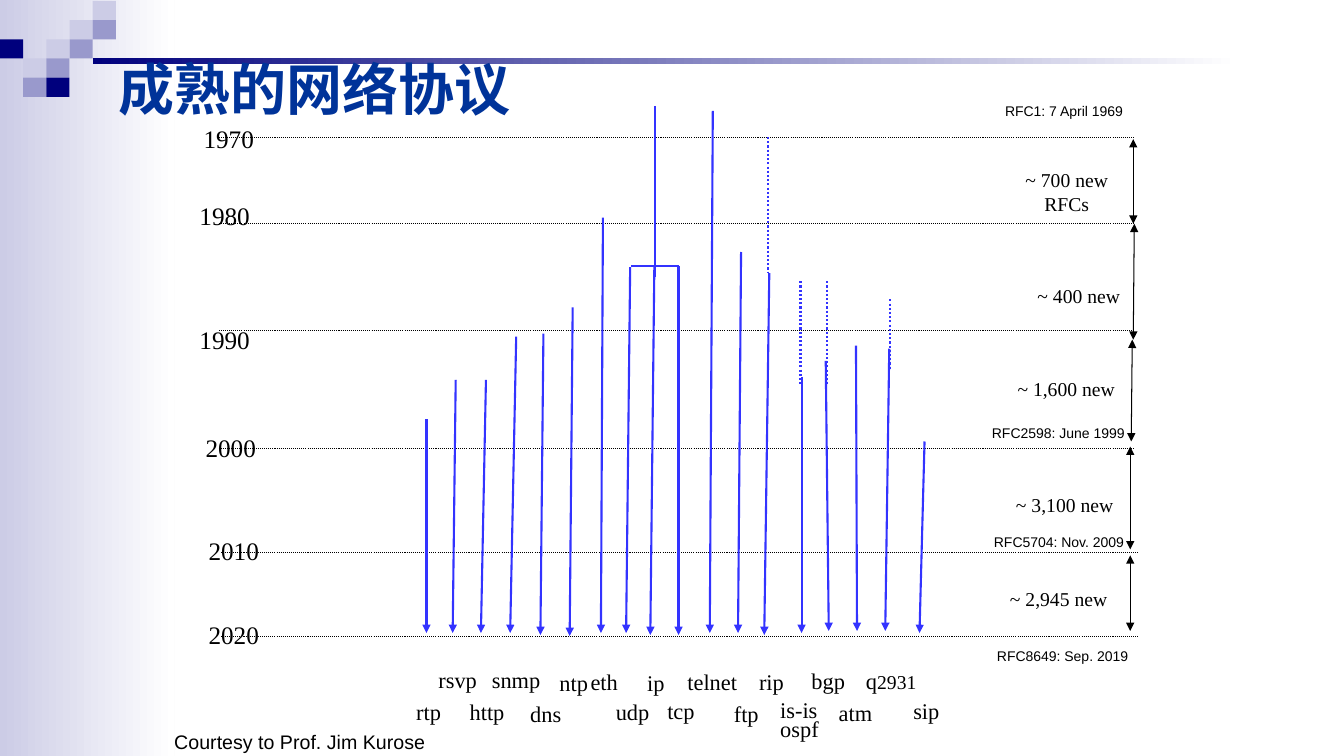
from lxml import etree
from pptx import Presentation
from pptx import util as u
from pptx.dml.color import RGBColor
from pptx.enum import dml, shapes, text
from pptx.oxml.ns import qn

SIZE = (13.33, 7.5)
NAVY, LILAC, PALE, WHITE = "00007D", "9999CC", "CCCCE6", "FFFFFF"
BLACK, BLUE, TITLE_BLUE = "000000", "3333FF", "003399"
SERIF, SANS, CJK = "Times New Roman", "Arial", "Noto Sans CJK SC"

# Corner mosaic: (column, row, colour)
MOSAIC = [
    (4, 0, PALE),
    (3, 1, PALE), (4, 1, LILAC),
    (0, 2, NAVY), (2, 2, PALE), (3, 2, LILAC),
    (1, 3, PALE), (2, 3, LILAC),
    (1, 4, LILAC), (2, 4, NAVY),
]
TILE_W, TILE_H = 0.23, 0.19

TITLE = "成熟的网络协议"
CREDIT = "Courtesy to Prof. Jim Kurose"

# (year, rule left, rule right, rule y, label left, label top)
DECADES = [
    ("1970", 2.17, 11.25, 1.36, 1.92, 1.17),
    ("1980", 2.17, 11.25, 2.22, 1.88, 1.94),
    ("1990", 2.17, 11.25, 3.28, 1.88, 3.17),
    ("2000", 2.17, 11.25, 4.45, 1.94, 4.24),
    ("2010", 2.19, 11.28, 5.48, 1.97, 5.26),
    ("2020", 2.19, 11.28, 6.31, 1.97, 6.09),
]

# (name, label left, label top, label width, arrow start, arrow end)
PROTOCOLS = [
    ("rtp", 4.03, 6.88, 0.45, (4.23, 4.16), (4.23, 6.28)),
    ("rsvp", 4.25, 6.56, 0.59, (4.52, 3.77), (4.49, 6.28)),
    ("http", 4.56, 6.88, 0.55, (4.82, 3.77), (4.77, 6.28)),
    ("snmp", 4.78, 6.56, 0.68, (5.12, 3.34), (5.06, 6.28)),
    ("dns", 5.16, 6.9, 0.51, (5.39, 3.31), (5.36, 6.3)),
    ("ntp", 5.45, 6.59, 0.49, (5.68, 3.05), (5.65, 6.31)),
    ("eth", 5.76, 6.58, 0.47, (5.98, 2.16), (5.96, 6.28)),
    ("udp", 6.01, 6.88, 0.53, (6.25, 2.65), (6.21, 6.28)),
    ("ip", 6.32, 6.59, 0.38, (6.49, 2.65), (6.45, 6.3)),
    ("tcp", 6.52, 6.87, 0.47, (6.73, 2.64), (6.73, 6.3)),
    ("telnet", 6.72, 6.58, 0.7, (7.07, 1.1), (7.04, 6.28)),
    ("ftp", 7.18, 6.9, 0.45, (7.35, 2.5), (7.32, 6.28)),
    ("rip", 7.43, 6.58, 0.45, (7.63, 2.71), (7.58, 6.3)),
    ("is-is\nospf", 7.64, 6.93, 0.59, (7.95, 3.74), (7.95, 6.28)),
    ("bgp", 7.95, 6.64, 0.53, (8.19, 3.58), (8.22, 6.26)),
    ("atm", 8.22, 6.96, 0.54, (8.49, 3.43), (8.5, 6.26)),
    ("q2931", 8.49, 6.64, 0.82, (8.82, 3.46), (8.78, 6.26)),
    ("sip", 8.96, 6.87, 0.46, (9.17, 4.38), (9.12, 6.28)),
]
TIGHT_LABELS = {"is-is\nospf", "bgp", "atm", "q2931"}
IP_ORIGIN = [((6.5, 1.05), (6.5, 2.75)), ((6.26, 2.64), (6.73, 2.64))]
# Early development: (x, top, bottom)
EARLY_WORK = [(7.62, 1.36, 2.71), (7.94, 2.79, 3.81), (8.2, 2.79, 3.81), (8.83, 2.97, 3.66)]

# (count, label left, label top, label width, span start, span end)
RFC_COUNTS = [
    ("~ 700 new\nRFCs", 10.02, 1.62, 1.12, (11.24, 1.38), (11.24, 2.22)),
    ("~ 400 new", 10.1, 2.77, 1.2, (11.25, 2.22), (11.24, 3.37)),
    ("~ 1,600 new", 9.78, 3.69, 1.59, (11.23, 3.37), (11.22, 4.38)),
    ("~ 3,100 new", 9.76, 4.84, 1.6, (11.21, 4.43), (11.21, 5.45)),
    ("~ 2,945 new", 9.7, 5.77, 1.6, (11.21, 5.51), (11.21, 6.26)),
]
# (milestone, left, top)
MILESTONES = [
    ("RFC1: 7 April 1969", 9.87, 0.97),
    ("RFC2598: June 1999", 9.74, 4.16),
    ("RFC5704: Nov. 2009", 9.76, 5.24),
    ("RFC8649: Sep. 2019", 9.79, 6.37),
]
MILESTONE_W = 1.6

prs = Presentation()
prs.slide_width, prs.slide_height = map(u.Inches, SIZE)
slide = prs.slides.add_slide(prs.slide_layouts[6])


def rgb(value):
    return RGBColor.from_string(value)


def add_block(left, top, width, height, *colours):
    """Rectangle in one colour, or fading left to right between two."""
    block = slide.shapes.add_shape(shapes.MSO_SHAPE.RECTANGLE,
                                   *map(u.Inches, (left, top, width, height)))
    block.shadow.inherit = False
    block.line.fill.background()
    if len(colours) == 1:
        block.fill.solid()
        block.fill.fore_color.rgb = rgb(colours[0])
    else:
        block.fill.gradient()
        block.fill.gradient_angle = 0
        for stop, colour in zip(block.fill.gradient_stops, colours):
            stop.color.rgb = rgb(colour)


def add_line(start, end, colour, weight, dotted=False, arrows=()):
    """Straight line; arrows lists the ends ("head", "tail") that get a triangle."""
    line = slide.shapes.add_connector(shapes.MSO_CONNECTOR.STRAIGHT,
                                      *map(u.Inches, (*start, *end)))
    line.line.color.rgb = rgb(colour)
    line.line.width = u.Pt(weight)
    if dotted:
        line.line.dash_style = dml.MSO_LINE.ROUND_DOT
    outline = line.line._get_or_add_ln()
    for side in arrows:
        etree.SubElement(outline, qn(f"a:{side}End"), type="triangle")
    etree.SubElement(line._element.spPr, qn("a:effectLst"))


def add_label(words, left, top, width, height, size, font=SERIF, colour=BLACK,
              wrap=False, align=text.PP_ALIGN.LEFT, spacing=None, bold=False):
    box = slide.shapes.add_textbox(*map(u.Inches, (left, top, width, height)))
    frame = box.text_frame
    frame.word_wrap = wrap
    frame.text = words
    for paragraph in frame.paragraphs:
        paragraph.alignment = align
        paragraph.line_spacing = spacing
        paragraph.font.size = u.Pt(size)
        paragraph.font.name = font
        paragraph.font.bold = bold
        paragraph.font.color.rgb = rgb(colour)
    return frame


add_block(0, 0, 0.13 * SIZE[0], SIZE[1], PALE, WHITE)
for column, row, colour in MOSAIC:
    add_block(column * TILE_W, 0.01 + row * TILE_H, TILE_W, TILE_H, colour)
add_block(0.92, 0.58, 11.37, 0.06, NAVY, WHITE)

heading = add_label(TITLE, 1.08, 0.54, 8.5, 0.66, 40, CJK, TITLE_BLUE, wrap=True, bold=True)
heading.vertical_anchor = text.MSO_ANCHOR.MIDDLE
etree.SubElement(heading.paragraphs[0].font._element, qn("a:ea"), typeface=CJK)

for year, rule_left, rule_right, y, left, top in DECADES:
    add_line((rule_left, y), (rule_right, y), BLACK, 0.75, dotted=True)
    add_label(year, left, top, 0.71, 0.4, 18)

for start, end in IP_ORIGIN:
    add_line(start, end, BLUE, 1.5)
for x, top, bottom in EARLY_WORK:
    add_line((x, top), (x, bottom), BLUE, 1.5, dotted=True)
for name, left, top, width, start, end in PROTOCOLS:
    add_line(start, end, BLUE, 1.5, arrows=["tail"])
    tight = name in TIGHT_LABELS
    height = 0.48 if "\n" in name else 0.29 if tight else 0.37
    label = add_label(name, left, top, width, height, 16, spacing=0.7 if tight else None)
    if name == "q2931":
        letter = label.paragraphs[0].runs[0]
        letter.text = name[0]
        digits = label.paragraphs[0].add_run()
        digits.text = name[1:]
        digits.font.size = u.Pt(14)

for count, left, top, width, start, end in RFC_COUNTS:
    add_line(start, end, BLACK, 0.75, arrows=["head", "tail"])
    height = 0.57 if "\n" in count else 0.33
    add_label(count, left, top, width, height, 14, wrap=True, align=text.PP_ALIGN.CENTER)
for milestone, left, top in MILESTONES:
    add_label(milestone, left, top, MILESTONE_W, 0.27, 10, SANS, wrap=True)
add_label(CREDIT, 1.63, 7.19, 2.7, 0.34, 14, SANS)

prs.save("out.pptx")
